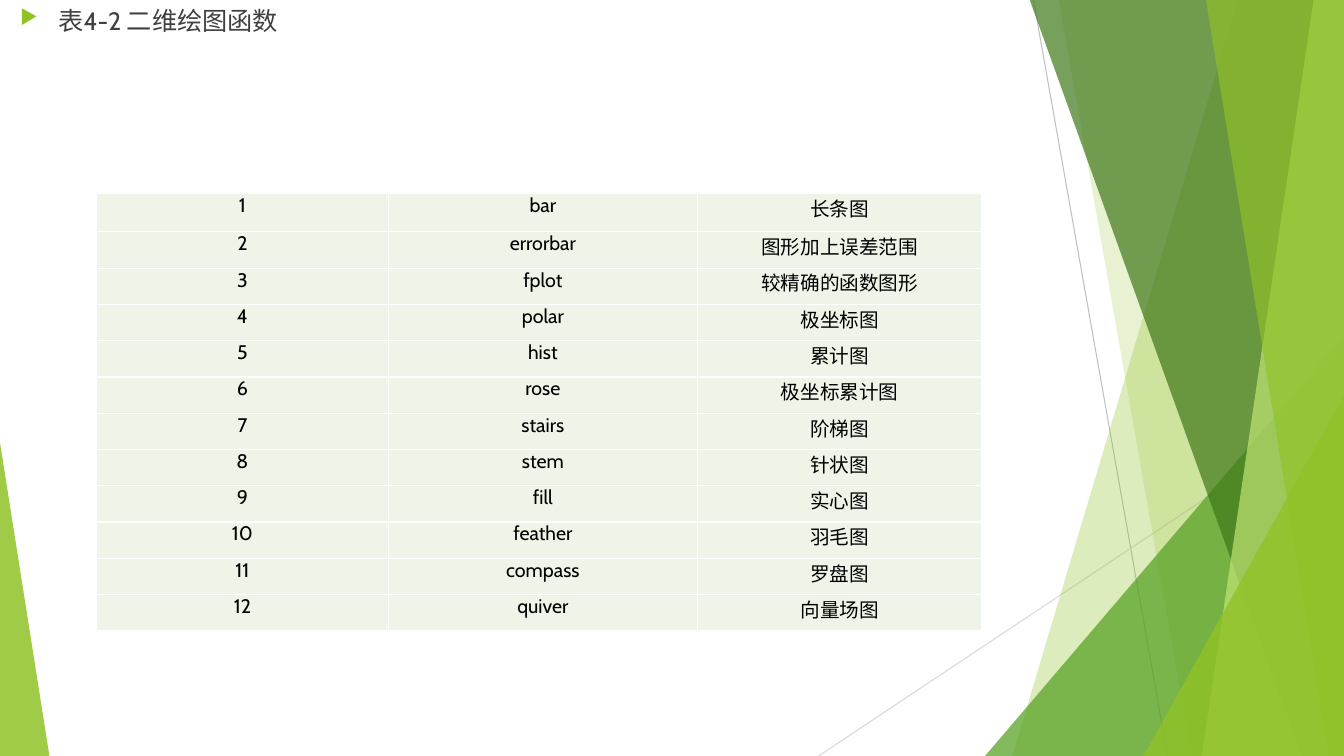
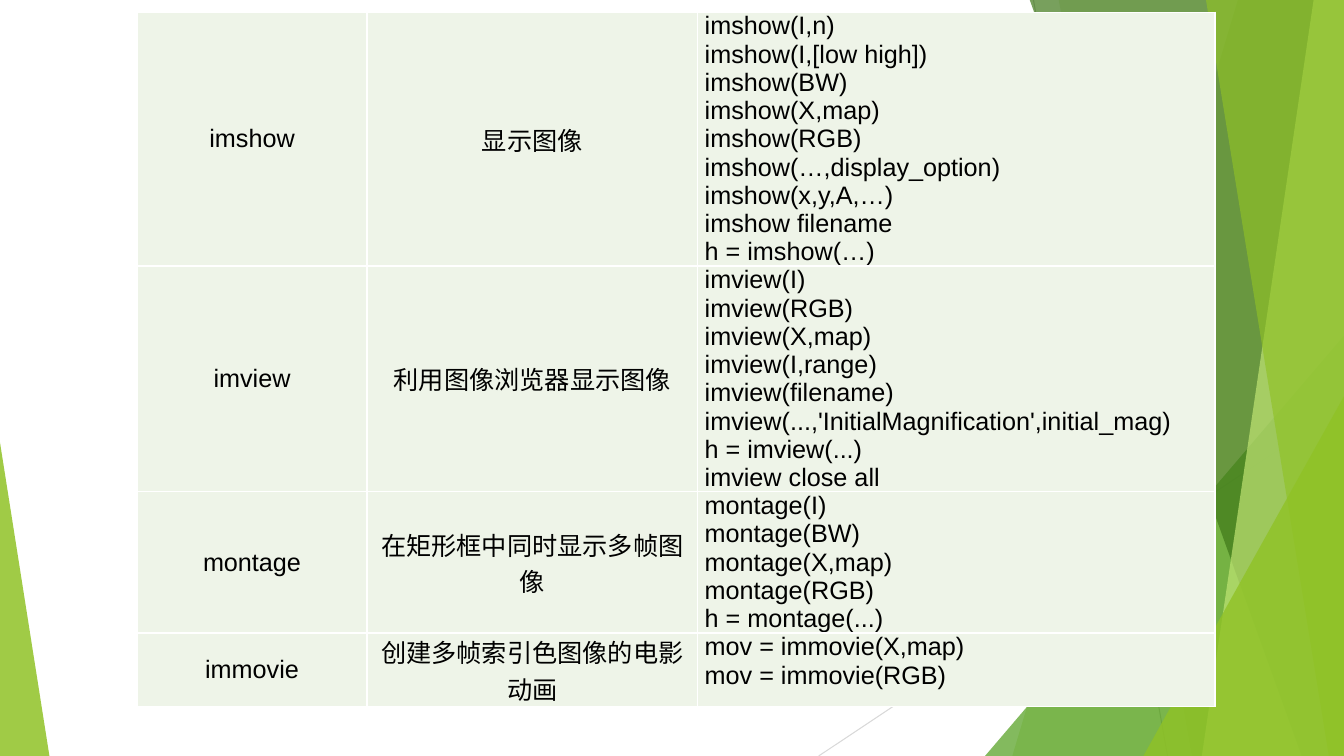
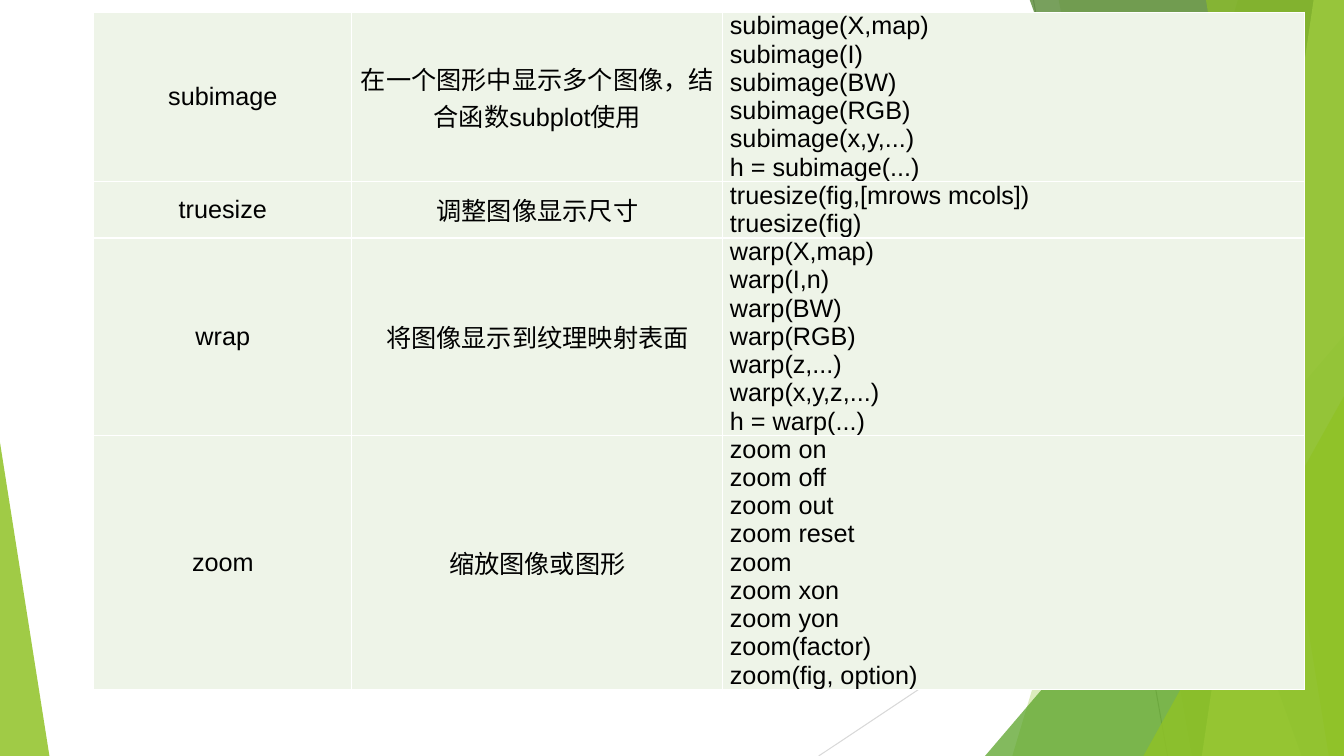
from lxml import etree
from pptx import Presentation
from pptx.dml.color import RGBColor
from pptx.enum.shapes import MSO_CONNECTOR, MSO_SHAPE
from pptx.enum.text import MSO_ANCHOR, MSO_AUTO_SIZE, PP_ALIGN
from pptx.oxml.ns import qn
from pptx.util import Inches, Pt

STRAIGHT = MSO_CONNECTOR.STRAIGHT
TRIANGLE = MSO_SHAPE.ISOSCELES_TRIANGLE
TOP, MIDDLE = MSO_ANCHOR.TOP, MSO_ANCHOR.MIDDLE
LEFT, CENTER, JUSTIFY = PP_ALIGN.LEFT, PP_ALIGN.CENTER, PP_ALIGN.JUSTIFY
NO_FIT = MSO_AUTO_SIZE.NONE

WIDE, HIGH, BLEED = 13.33, 7.5, -0.01
TITLE_ONLY, BLANK = 5, 6
LIME, GREEN, MOSS, PALE = "90C226", "54A021", "3F7819", "C0E474"
WHITE, BLACK, DARK, TINT = "FFFFFF", "000000", "404040", "EEF4E8"
CABIN, ARIAL = "Cabin", "Arial"

PLOTS = [
    ("bar", "长条图"),
    ("errorbar", "图形加上误差范围"),
    ("fplot", "较精确的函数图形"),
    ("polar", "极坐标图"),
    ("hist", "累计图"),
    ("rose", "极坐标累计图"),
    ("stairs", "阶梯图"),
    ("stem", "针状图"),
    ("fill", "实心图"),
    ("feather", "羽毛图"),
    ("compass", "罗盘图"),
    ("quiver", "向量场图"),
]

SHOW = [
    ("imshow", "显示图像", """imshow(I,n)
imshow(I,[low high])
imshow(BW)
imshow(X,map)
imshow(RGB)
imshow(…,display_option)
imshow(x,y,A,…)
imshow filename
h = imshow(…)"""),
    ("imview", "利用图像浏览器显示图像", """imview(I)
imview(RGB)
imview(X,map)
imview(I,range)
imview(filename)
imview(...,'InitialMagnification',initial_mag)
h = imview(...)
imview close all"""),
    ("montage", "在矩形框中同时显示多帧图像", """montage(I)
montage(BW)
montage(X,map)
montage(RGB)
h = montage(...)"""),
    ("immovie", "创建多帧索引色图像的电影动画", """mov = immovie(X,map)
mov = immovie(RGB)"""),
]

VIEW = [
    ("subimage", "在一个图形中显示多个图像，结合函数subplot使用", """subimage(X,map)
subimage(I)
subimage(BW)
subimage(RGB)
subimage(x,y,...)
h = subimage(...)"""),
    ("truesize", "调整图像显示尺寸", """truesize(fig,[mrows mcols])
truesize(fig)"""),
    ("wrap", "将图像显示到纹理映射表面", """warp(X,map)
warp(I,n)
warp(BW)
warp(RGB)
warp(z,...)
warp(x,y,z,...)
h = warp(...)"""),
    ("zoom", "缩放图像或图形", """zoom on
zoom off
zoom out
zoom reset
zoom
zoom xon
zoom yon
zoom(factor)
zoom(fig, option)"""),
]


def paint(color, code):
    """Set a colour format from a hex string."""
    color.rgb = RGBColor.from_string(code)


def add_node(parent, tag, **attrs):
    """Append an XML element with the given attributes."""
    node = etree.SubElement(parent, qn(tag))
    for key, value in attrs.items():
        node.set(key, str(value))
    return node


def style_text(frame, face, size, code, align, after=0):
    """Format every paragraph and run of a text frame."""
    for para in frame.paragraphs:
        para.alignment = align
        para.space_after = Pt(after)
        for run in para.runs:
            run.font.name = face
            run.font.size = Pt(size)
            run.font.bold = False
            paint(run.font.color, code)


def add_line(slide, start, end, code):
    """Draw a thin flat line."""
    line = slide.shapes.add_connector(
        STRAIGHT, *(Inches(v) for v in (*start, *end)))
    paint(line.line.color, code)
    line.line.width = Pt(0.75)
    add_node(line.element.spPr, "a:effectLst")
    return line


def tint_shape(shape, code, alpha):
    """Give a shape a see-through fill with no outline or shadow."""
    shape.shadow.inherit = False
    shape.fill.solid()
    paint(shape.fill.fore_color, code)
    shape.line.fill.background()
    color = shape.element.xpath(".//a:solidFill/a:srgbClr")[0]
    add_node(color, "a:alpha", val=alpha * 1000)
    return shape


def add_panel(slide, top, base, code, alpha):
    """Draw a slanted panel that reaches the right edge."""
    points = [(WIDE, BLEED), (WIDE, HIGH), (base, HIGH)]
    form = slide.shapes.build_freeform(Inches(top), Inches(BLEED), 1.0)
    form.add_line_segments([(Inches(x), Inches(y)) for x, y in points])
    return tint_shape(form.convert_to_shape(), code, alpha)


def add_wedge(slide, left, top, width, peak, code, alpha):
    """Draw a triangle that stands on the bottom edge."""
    box = (Inches(v) for v in (left, top, width, HIGH - top))
    wedge = slide.shapes.add_shape(TRIANGLE, *box)
    wedge.adjustments[0] = peak
    return tint_shape(wedge, code, alpha)


def set_backdrop(prs, slide):
    """Build the green facets and move them to the slide master."""
    facets = [
        add_line(slide, (10.25, 0), (11.58, HIGH), "BFBFBF"),
        add_line(slide, (WIDE, 4.03), (8.12, HIGH), "D9D9D9"),
        add_panel(slide, 12.28, 10.04, LIME, 30),
        add_panel(slide, 10.5, 11.82, LIME, 20),
        add_wedge(slide, 9.77, 3.33, 3.56, 1, GREEN, 72),
        add_panel(slide, 10.21, 12.91, MOSS, 70),
        add_panel(slide, 13.03, 11.92, PALE, 70),
        add_panel(slide, 11.96, 13.18, LIME, 65),
        add_wedge(slide, 11.34, 3.93, 1.99, 1, LIME, 80),
        add_wedge(slide, 0, 4.39, 0.49, 0, LIME, 85),
    ]
    tree = prs.slide_master.shapes.element
    for num, facet in enumerate(facets, 101):
        facet.element.xpath(".//p:cNvPr")[0].set("id", str(num))
        tree.append(facet.element)


def set_title(slide, text):
    """Place the title at the top left with an arrow bullet."""
    title = slide.shapes.title
    title.left, title.top = Inches(0.1), Inches(0)
    title.width, title.height = Inches(9.4), Inches(0.6)
    frame = title.text_frame
    frame.text = text
    frame.word_wrap = True
    frame.auto_size = NO_FIT
    frame.vertical_anchor = TOP
    style_text(frame, CABIN, 18, DARK, LEFT)
    para = frame.paragraphs[0]
    para.space_before = Pt(10)
    props = para.alignment is not None and para.runs[0].font and \
        frame.paragraphs[0].runs[0] and title.element.xpath(".//a:pPr")[0]
    props.set("marL", str(Inches(0.38)))
    props.set("indent", str(Inches(-0.38)))
    color = add_node(props, "a:buClr")
    add_node(color, "a:srgbClr", val=LIME)
    add_node(props, "a:buSzPct", val=80000)
    add_node(props, "a:buChar", char="▶")


def style_cell(cell, anchor):
    """Set the margins, white borders and tinted fill of a cell."""
    cell.margin_left = cell.margin_right = Inches(0.07)
    cell.margin_top = cell.margin_bottom = 0
    cell.vertical_anchor = anchor
    props = cell._tc.get_or_add_tcPr()
    for tag in ("a:lnL", "a:lnR", "a:lnT", "a:lnB"):
        edge = add_node(props, tag, w=Pt(1))
        fill = add_node(edge, "a:solidFill")
        add_node(fill, "a:srgbClr", val=WHITE)
    cell.fill.solid()
    paint(cell.fill.fore_color, TINT)


def add_grid(slide, left, top, cols, heights, rows, looks, face, size, after=0):
    """Add a table whose columns each have an anchor and alignment."""
    box = (Inches(v) for v in (left, top, sum(cols), sum(heights)))
    grid = slide.shapes.add_table(len(rows), len(cols), *box).table
    grid.first_row = grid.horz_banding = False
    for col, width in zip(grid.columns, cols):
        col.width = Inches(width)
    for row, height, texts in zip(grid.rows, heights, rows):
        row.height = Inches(height)
        for cell, text, (anchor, align) in zip(row.cells, texts, looks):
            cell.text_frame.text = text
            style_cell(cell, anchor)
            style_text(cell.text_frame, face, size, BLACK, align, after)


def add_syntax(prs, left, cols, heights, rows):
    """Add a slide with a table of functions and their call forms."""
    slide = prs.slides.add_slide(prs.slide_layouts[BLANK])
    looks = [(MIDDLE, CENTER), (MIDDLE, CENTER), (TOP, JUSTIFY)]
    add_grid(slide, left, 0.12, cols, heights, rows, looks, ARIAL, 18)


def main():
    """Build and save the three slides."""
    prs = Presentation()
    prs.slide_width, prs.slide_height = Inches(WIDE), Inches(HIGH)
    slide = prs.slides.add_slide(prs.slide_layouts[TITLE_ONLY])
    set_backdrop(prs, slide)
    set_title(slide, "表4-2 二维绘图函数")
    rows = [(str(num), *plot) for num, plot in enumerate(PLOTS, 1)]
    heights = [0.38] + [0.36] * (len(rows) - 1)
    add_grid(slide, 0.96, 1.92, [2.89, 3.07, 2.82], heights, rows,
             [(TOP, CENTER)] * 3, CABIN, 14, 2)
    add_syntax(prs, 1.36, [2.28, 3.28, 5.13], [2.52, 2.24, 1.4, 0.73], SHOW)
    add_syntax(prs, 0.93, [2.56, 3.68, 5.77], [1.68, 0.56, 1.96, 2.52], VIEW)
    prs.save("out.pptx")


if __name__ == "__main__":
    main()
